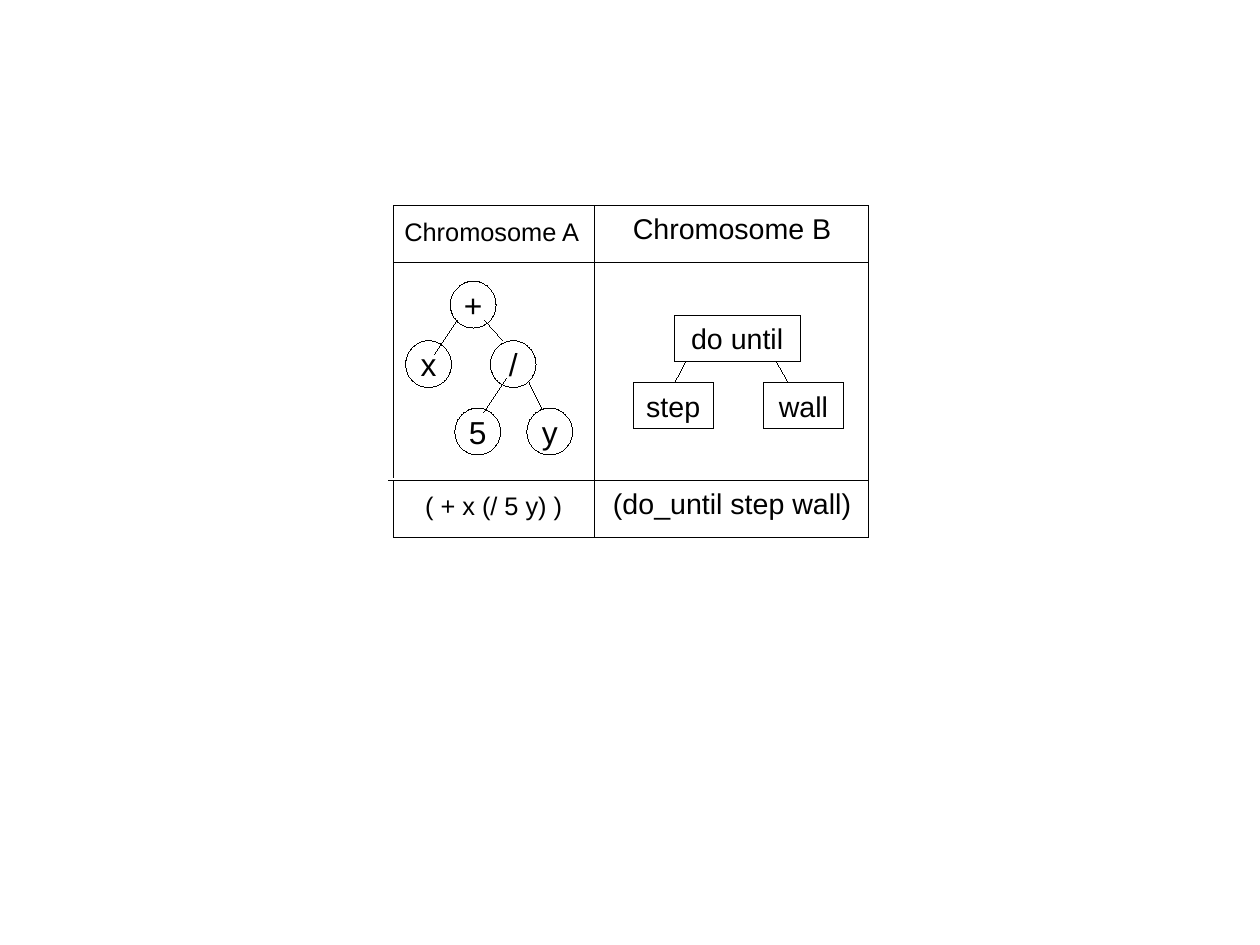
from lxml import etree
from pptx import Presentation
from pptx.dml.color import RGBColor
from pptx.enum.shapes import MSO_CONNECTOR, MSO_SHAPE
from pptx.enum.text import MSO_ANCHOR, PP_ALIGN
from pptx.oxml.ns import qn
from pptx.util import Inches, Pt

LINE = MSO_CONNECTOR.STRAIGHT
OVAL, RECT = MSO_SHAPE.OVAL, MSO_SHAPE.RECTANGLE
LEFT, CENTER = PP_ALIGN.LEFT, PP_ALIGN.CENTER
TOP, MIDDLE = MSO_ANCHOR.TOP, MSO_ANCHOR.MIDDLE
BLACK = "000000"

# Page of 28 by 21 cm
CM_PER_INCH = 2.54
PAGE_W, PAGE_H = 28 / CM_PER_INCH, 21 / CM_PER_INCH

# Frame: column edges and row edges
X0, X1, X2 = 3.44, 5.2, 7.6
Y0, Y1, Y2, Y3 = 1.8, 2.3, 4.2, 4.7
FRAME_LINES = [
    (X1, Y0, X1, Y1),
    (X1, Y1, X1, Y2),
    (X1, Y2, X1, Y3),
    (3.4, Y2, X2, Y2),
    (X0, 4.18, X0, Y1),
    (X0, Y1, X2, Y1),
    (X2, Y2, X2, Y1),
]

# Captions: text, left, top, width, height, size, alignment
CAPTIONS = [
    ("Chromosome A", X0, Y0 + 0.04, X1 - X0, 0.35, 16, LEFT),
    ("Chromosome B", X1 + 0.01, Y0, X2 - X1 - 0.01, 0.5, 18, CENTER),
    ("( + x (/ 5 y) )", X0, Y2 + 0.04, X1 - X0, 0.35, 16, CENTER),
    ("(do_until step wall)", X1 + 0.01, Y2, X2 - X1 - 0.01, 0.5, 18, CENTER),
]

# Tree A: text, left, top of each circle
NODE_W, NODE_H = 0.4, 0.41
CIRCLES = [("+", 3.94, 2.46), ("x", 3.55, 2.98), ("/", 4.29, 2.98),
           ("5", 3.98, 3.57), ("y", 4.61, 3.57)]

# Tree B: text, left, top, width of each box
BOX_H = 0.4
BOXES = [("do until", 5.9, 2.76, 1.1), ("step", 5.54, 3.35, 0.7),
         ("wall", 6.68, 3.35, 0.7)]

# Branches of both trees
BRANCHES = [
    (3.8, 3.1, 4, 2.8), (4.4, 2.98, 4.24, 2.8),
    (4.23, 3.61, 4.43, 3.31), (4.74, 3.57, 4.63, 3.35),
    (5.9, 3.35, 6, 3.16), (6.9, 3.35, 6.79, 3.16),
]


def color(hex_code):
    return RGBColor.from_string(hex_code)


def hairline(sp):
    # Without the theme style a zero width stays a hairline
    sp._element.remove(sp._element.find(qn("p:style")))
    sp.line.color.rgb = color(BLACK)
    sp.line.width = Pt(0)


def add_line(s, x1, y1, x2, y2):
    c = s.shapes.add_connector(LINE, *map(Inches, (x1, y1, x2, y2)))
    hairline(c)
    etree.SubElement(c._element.spPr, qn("a:effectLst"))


def add_outline(s, kind, x, y, w, h):
    sp = s.shapes.add_shape(kind, *map(Inches, (x, y, w, h)))
    sp.shadow.inherit = False
    sp.fill.background()
    hairline(sp)
    return sp


def write(tf, text, size, align, anchor):
    tf.vertical_anchor = anchor
    p = tf.paragraphs[0]
    p.text = text
    p.alignment = align
    p.font.name = "Arial"
    p.font.size = Pt(size)
    p.font.color.rgb = color(BLACK)


def add_node(s, kind, text, x, y, w, h, size):
    tf = add_outline(s, kind, x, y, w, h).text_frame
    tf.word_wrap = False
    tf.margin_left = tf.margin_right = tf.margin_top = tf.margin_bottom = 0
    write(tf, text, size, CENTER, MIDDLE)


def main():
    prs = Presentation()
    prs.slide_width, prs.slide_height = Inches(PAGE_W), Inches(PAGE_H)
    s = prs.slides.add_slide(prs.slide_layouts[6])

    # Frame
    for y, bottom in ((Y0, Y1), (Y2, Y3)):
        add_outline(s, RECT, X0, y, X2 - X0, bottom - y)
    for ends in FRAME_LINES:
        add_line(s, *ends)

    # Trees
    for text, x, y in CIRCLES:
        add_node(s, OVAL, text, x, y, NODE_W, NODE_H, 20)
    for text, x, y, w in BOXES:
        add_node(s, RECT, text, x, y, w, BOX_H, 18)
    for ends in BRANCHES:
        add_line(s, *ends)

    # Captions
    for text, x, y, w, h, size, align in CAPTIONS:
        tf = s.shapes.add_textbox(*map(Inches, (x, y, w, h))).text_frame
        tf.word_wrap = True
        write(tf, text, size, align, TOP)

    prs.save("out.pptx")


if __name__ == "__main__":
    main()
